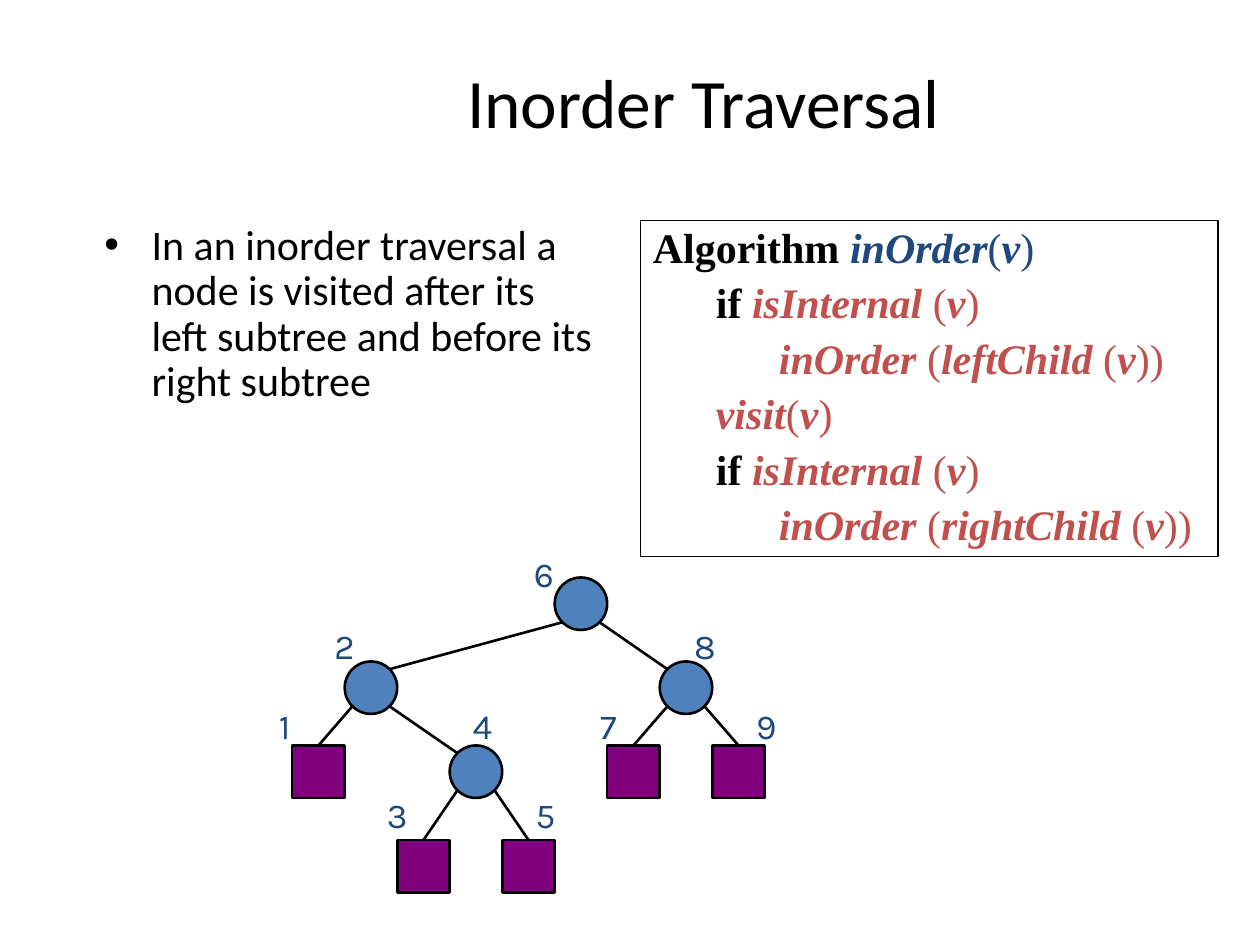
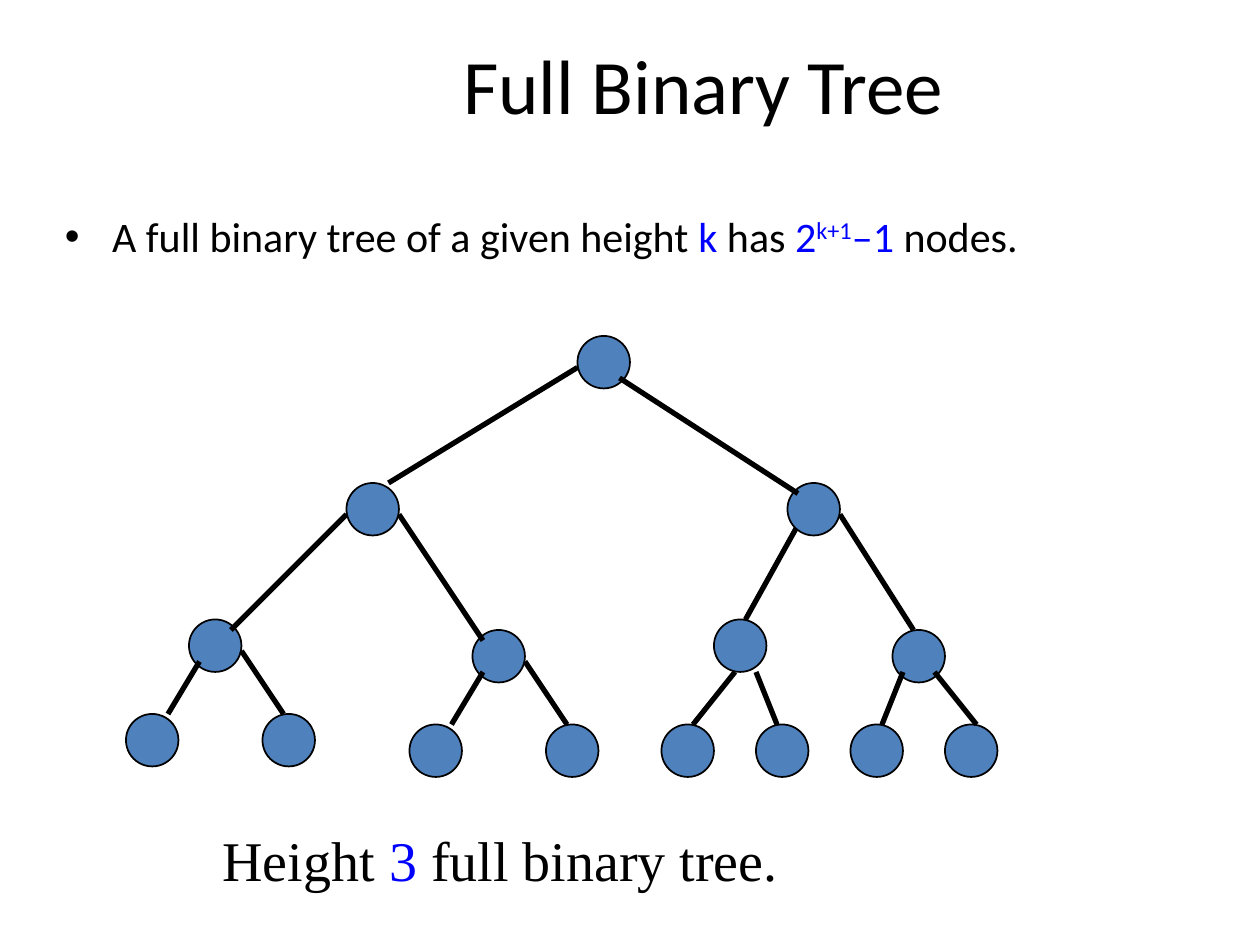
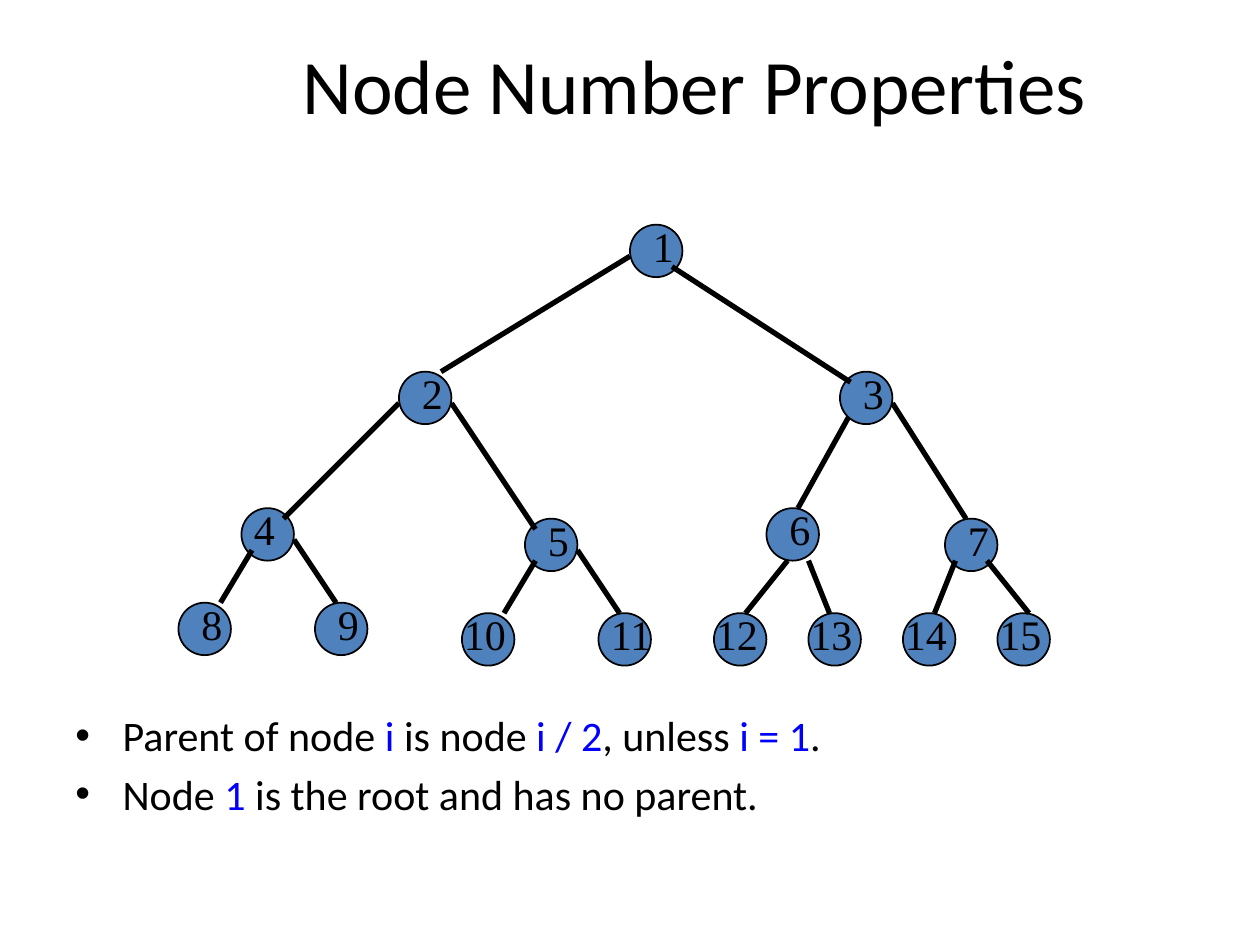
from dataclasses import dataclass

import pptx
import pptx.dml.color
import pptx.enum.shapes
import pptx.enum.text
import pptx.oxml
import pptx.oxml.ns
import pptx.util
from pptx.util import Pt

BLACK, BLUE, NAVY = "000000", "0000FF", "1F497D"
RED, DISC, BOX = "C0504D", "4F81BD", "800080"
SIDE = 30  # width and height of every tree node
ALIGN = pptx.enum.text.PP_ALIGN
KIND = pptx.enum.shapes.MSO_SHAPE


@dataclass(frozen=True)
class Run:
    text: str
    color: str = BLACK
    style: str = ""  # b bold, i italic, ^ raised


@dataclass(frozen=True)
class Para:
    runs: tuple
    left: float = 0
    bullet: bool = False


@dataclass(frozen=True)
class Look:
    font: str
    size: float
    lines: float = 1
    gap: float = 0
    align: object = ALIGN.LEFT


@dataclass(frozen=True)
class Item:
    """Node of the inorder tree; tag is the place of its number."""
    x: float
    y: float
    tag: tuple
    kids: tuple = ()


@dataclass(frozen=True)
class Node:
    """Node of the full tree; tail lies on the parent, head on the node."""
    x: float
    y: float
    tail: tuple = ()
    head: tuple = ()


BODY = Look("Calibri", 24, 0.9, 4.5)
LIST = Look("Calibri", 24, 1, 4.5)
CODE = Look("Times New Roman", 24, 0.9, 5.8)
NOTE = Look("Times New Roman", 32)
DIGIT = Look("Times New Roman", 24)
TAG = Look("Karla", 20, align=ALIGN.CENTER)


# ---- Shared drawing helpers ----
def rgb(code: str):
    return pptx.dml.color.RGBColor.from_string(code)


def write(frame, paras: tuple, look: Look) -> None:
    for num, para in enumerate(paras):
        p = frame.paragraphs[0] if num == 0 else frame.add_paragraph()
        props = p._p.get_or_add_pPr()
        props.set("marL", str(Pt(para.left)))
        if para.bullet:
            props.set("indent", str(-Pt(para.left)))
            space = pptx.oxml.ns.nsdecls("a")
            for tag in ('buFont {} typeface="Arial"', 'buChar {} char="•"'):
                props.append(pptx.oxml.parse_xml(f"<a:{tag.format(space)}/>"))
        p.alignment = look.align
        p.line_spacing = look.lines
        p.space_before = Pt(look.gap if num else 0)
        p.font.name, p.font.size = look.font, Pt(look.size)
        shades = {run.color for run in para.runs}
        if len(shades) == 1:
            p.font.color.rgb = rgb(shades.pop())
        for part in para.runs:
            run = p.add_run()
            run.text = part.text
            if len({r.color for r in para.runs}) > 1:
                run.font.color.rgb = rgb(part.color)
            if "b" in part.style:
                run.font.bold = True
            if "i" in part.style:
                run.font.italic = True
            if "^" in part.style:
                run.font._element.set("baseline", "30000")


def add_text(slide, area: tuple, paras: tuple, look: Look, wrap: bool = True):
    box = slide.shapes.add_textbox(*map(Pt, area))
    box.text_frame.word_wrap = wrap
    write(box.text_frame, paras, look)
    return box


def add_slide(deck, title: str, top: float, height: float, size: float = 44):
    slide = deck.slides.add_slide(deck.slide_layouts[5])
    head = slide.shapes.title
    head.left, head.top, head.width, head.height = map(Pt, (96, top, 612, height))
    frame = head.text_frame
    frame.auto_size = pptx.enum.text.MSO_AUTO_SIZE.NONE
    frame.vertical_anchor = pptx.enum.text.MSO_ANCHOR.MIDDLE
    write(frame, (Para((Run(title),)),), Look("Calibri", size, align=ALIGN.CENTER))
    return slide


def add_node(slide, x: float, y: float, width: float, leaf: bool = False):
    kind = KIND.RECTANGLE if leaf else KIND.OVAL
    shape = slide.shapes.add_shape(kind, *map(Pt, (x, y, SIDE, SIDE)))
    shape.shadow.inherit = False
    shape.fill.solid()
    shape.fill.fore_color.rgb = rgb(BOX if leaf else DISC)
    shape.line.color.rgb = rgb(BLACK)
    shape.line.width = Pt(width)
    return shape


def add_edge(slide, ends: tuple, width: float):
    kind = pptx.enum.shapes.MSO_CONNECTOR.STRAIGHT
    edge = slide.shapes.add_connector(kind, *map(Pt, ends))
    edge.line.color.rgb = rgb(BLACK)
    edge.line.width = Pt(width)
    props = edge._element.spPr
    props.append(props.makeelement(pptx.oxml.ns.qn("a:effectLst"), {}))
    return edge


def call(color: str, *words: str) -> tuple:
    """Names in bold italics alternate with plain brackets."""
    return tuple(Run(word, color, "" if n % 2 else "bi")
                 for n, word in enumerate(words))


# ---- Inorder traversal ----
TEST = (Run("if ", BLACK, "b"),) + call(RED, "isInternal ", "(", "v", ")")
STEPS = (
    Para((Run("Algorithm ", BLACK, "b"),) + call(NAVY, "inOrder", "(", "v", ")")),
    Para(TEST, 36),
    Para(call(RED, "inOrder", " (", "leftChild ", "(", "v", "))"), 72),
    Para(call(RED, "visit", "(", "v", ")"), 36),
    Para(TEST, 36),
    Para(call(RED, "inOrder", " (", "rightChild ", "(", "v", "))"), 72),
)
ITEMS = {
    1: Item(167, 426, (150, 399)),
    2: Item(197, 378, (184, 353.5), (1, 4)),
    3: Item(227, 480, (214, 450)),
    4: Item(257, 426, (263, 399), (3, 5)),
    5: Item(287, 480, (299, 450)),
    6: Item(317, 330, (298, 312), (2, 8)),
    7: Item(347, 426, (335, 399)),
    8: Item(377, 378, (389.5, 353.5), (7, 9)),
    9: Item(407, 426, (425, 399)),
}


def draw_order(slide) -> None:
    near, far = 4.4, SIDE - 4.4  # diagonal points of a circle
    shapes = {key: add_node(slide, item.x, item.y, 1.5, not item.kids)
              for key, item in ITEMS.items()}
    for item in ITEMS.values():
        for side, key in enumerate(item.kids):
            kid = ITEMS[key]
            out, into = (far, near) if side else (near, far)
            edge = add_edge(slide, (item.x + out, item.y + far,
                                    kid.x + into, kid.y + near), 1.5)
            if not kid.kids:
                edge.end_connect(shapes[key], 0)
    for key, item in ITEMS.items():
        add_text(slide, (*item.tag, 25.2, 31),
                 (Para((Run(str(key), NAVY),)),), TAG, False)


# ---- Full binary tree, numbered by level ----
NODES = {
    1: Node(330, 192),
    2: Node(198, 276, (0, 18), (24, 0)),
    3: Node(450, 276, (24, 24), (6, 6)),
    4: Node(108, 354, (0, 18), (24, 6)),
    5: Node(270, 360, (30, 18), (6, 6)),
    6: Node(408, 354, (6, 24), (18, 0)),
    7: Node(510, 360, (30, 18), (12, 0)),
    8: Node(72, 408, (6, 24), (24, 0)),
    9: Node(150, 408, (30, 18), (12, 0)),
    10: Node(234, 414, (6, 24), (24, 0)),
    11: Node(312, 414, (30, 18), (12, 0)),
    12: Node(378, 414, (12, 30), (18, 0)),
    13: Node(432, 414, (24, 30), (12, 0)),
    14: Node(486, 414, (6, 24), (18, 0)),
    15: Node(540, 414, (24, 24), (18, 0)),
}


def draw_full(slide, dx: float = 0, dy: float = 0) -> None:
    # The middle level goes first, so upper discs cover its edges
    for level in (range(4, 8), range(1, 4), range(8, 16)):
        for key in level:
            add_node(slide, NODES[key].x + dx, NODES[key].y + dy, 1)
        for key in level:
            if key == 1:
                continue
            node, root = NODES[key], NODES[key // 2]
            add_edge(slide, (root.x + node.tail[0] + dx, root.y + node.tail[1] + dy,
                             node.x + node.head[0] + dx, node.y + node.head[1] + dy), 3)


def draw_digits(slide, dx: float, dy: float) -> None:
    for key, node in NODES.items():
        shift, width = (6, 24) if key < 10 else (-6, 48)
        if key in (4, 11):
            shift = 0
        add_text(slide, (node.x + dx + shift, node.y + dy - 6, width, 36),
                 (Para((Run(str(key)),)),), DIGIT)


def bullet(*runs: Run) -> Para:
    return Para(runs, 27, True)


def main() -> None:
    deck = pptx.Presentation()
    deck.slide_width, deck.slide_height = Pt(720), Pt(540)

    # Slide 1
    slide = add_slide(deck, "Inorder Traversal", 30, 55, 39.6)
    add_text(slide, (52.5, 124.5, 295, 175), (bullet(Run(
        "In an inorder traversal a node is visited after its left subtree "
        "and before its right subtree")),), BODY)
    code = add_text(slide, (366, 126, 330, 192), STEPS, CODE)
    code.line.color.rgb = rgb(BLACK)
    code.line.width = Pt(0.75)
    draw_order(slide)

    # Slide 2
    slide = add_slide(deck, "Full Binary Tree", 18, 60)
    add_text(slide, (30, 120, 654, 78), (bullet(
        Run("A full binary tree of a given height "), Run("k", BLUE),
        Run(" has "), Run("2", BLUE), Run("k+1", BLUE, "^"),
        Run("–1 ", BLUE), Run("nodes.")),), BODY)
    draw_full(slide)
    add_text(slide, (120, 468, 516, 45), (Para((
        Run("Height "), Run("3", BLUE), Run(" full binary tree."))),), NOTE)

    # Slide 3
    slide = add_slide(deck, "Node Number Properties ", 12, 72)
    add_text(slide, (36, 402, 654, 120), (
        bullet(Run("Parent of node "), Run("i", BLUE), Run(" is node "),
               Run("i / 2", BLUE), Run(", unless "), Run("i = 1", BLUE), Run(".")),
        bullet(Run("Node "), Run("1", BLUE),
               Run(" is the root and has no parent."))), LIST)
    move = (30, -63.6)
    draw_full(slide, *move)
    draw_digits(slide, *move)

    deck.save("out.pptx")


if __name__ == "__main__":
    main()
